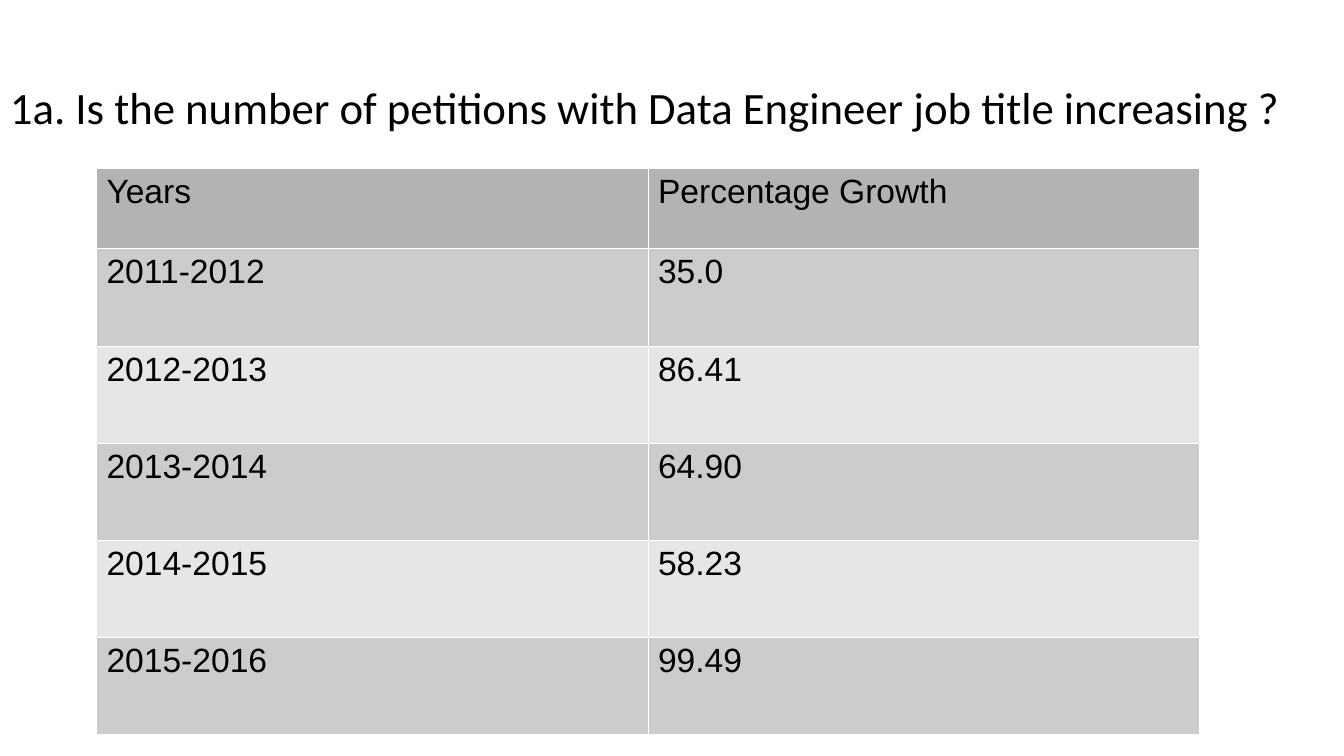
import pptx
import pptx.dml.color
import pptx.enum.text
import pptx.oxml
import pptx.oxml.ns
import pptx.util
from pptx.util import Cm

BLACK = pptx.dml.color.RGBColor(0x00, 0x00, 0x00)
WHITE = pptx.dml.color.RGBColor(0xFF, 0xFF, 0xFF)
HEADER_GREY = pptx.dml.color.RGBColor(0xB3, 0xB3, 0xB3)
DARK_BAND = pptx.dml.color.RGBColor(0xCC, 0xCC, 0xCC)
LIGHT_BAND = pptx.dml.color.RGBColor(0xE6, 0xE6, 0xE6)

GROWTH = [
    ("Years", "Percentage Growth"),
    ("2011-2012", "35.0"),
    ("2012-2013", "86.41"),
    ("2013-2014", "64.90"),
    ("2014-2015", "58.23"),
    ("2015-2016", "99.49"),
]


class Page:
    """Holds the text style and the slide being filled."""

    title_font, title_size = "Calibri", pptx.util.Pt(32)
    table_font, table_size = "Arial", pptx.util.Pt(24)
    border_width = pptx.util.Pt(0.06)

    def __init__(self, deck):
        self.slide = deck.slides.add_slide(deck.slide_layouts[6])

    def format_runs(self, para, font, size):
        for span in para.runs:
            span.font.name = font
            span.font.size = size
            span.font.color.rgb = BLACK

    def title(self, text, left, top, width, height):
        box = self.slide.shapes.add_textbox(left, top, width, height)
        frame = box.text_frame
        frame.word_wrap = True
        frame.vertical_anchor = pptx.enum.text.MSO_ANCHOR.BOTTOM
        frame.text = text
        para = frame.paragraphs[0]
        para.line_spacing = 0.9
        self.format_runs(para, self.title_font, self.title_size)

    def border(self, cell):
        properties = cell._tc.get_or_add_tcPr()
        for side in ("lnL", "lnR", "lnT", "lnB"):
            properties.append(pptx.oxml.parse_xml(
                f'<a:{side} {pptx.oxml.ns.nsdecls("a")} w="{self.border_width}">'
                f'<a:solidFill><a:srgbClr val="{WHITE}"/></a:solidFill></a:{side}>'))

    def table(self, rows, left, top, width, header_height, row_height):
        height = header_height + row_height * (len(rows) - 1)
        table = self.slide.shapes.add_table(
            len(rows), len(rows[0]), left, top, width, height).table
        table.first_row = table.horz_banding = False
        for row_index, texts in enumerate(rows):
            table.rows[row_index].height = row_height if row_index else header_height
            band = DARK_BAND if row_index % 2 else LIGHT_BAND
            for column_index, text in enumerate(texts):
                cell = table.cell(row_index, column_index)
                self.border(cell)
                cell.fill.solid()
                cell.fill.fore_color.rgb = band if row_index else HEADER_GREY
                cell.text_frame.text = text
                self.format_runs(cell.text_frame.paragraphs[0],
                                 self.table_font, self.table_size)


def main():
    deck = pptx.Presentation()
    deck.slide_width, deck.slide_height = Cm(33.87), Cm(19.05)
    page = Page(deck)
    page.title("1a. Is the number of petitions with Data Engineer job title increasing ?",
               Cm(0), Cm(0.71), deck.slide_width, Cm(2.8))
    page.table(GROWTH, Cm(2.43), Cm(4.23), Cm(27.8),
               header_height=Cm(2.03), row_height=Cm(2.45))
    deck.save("out.pptx")


if __name__ == "__main__":
    main()
